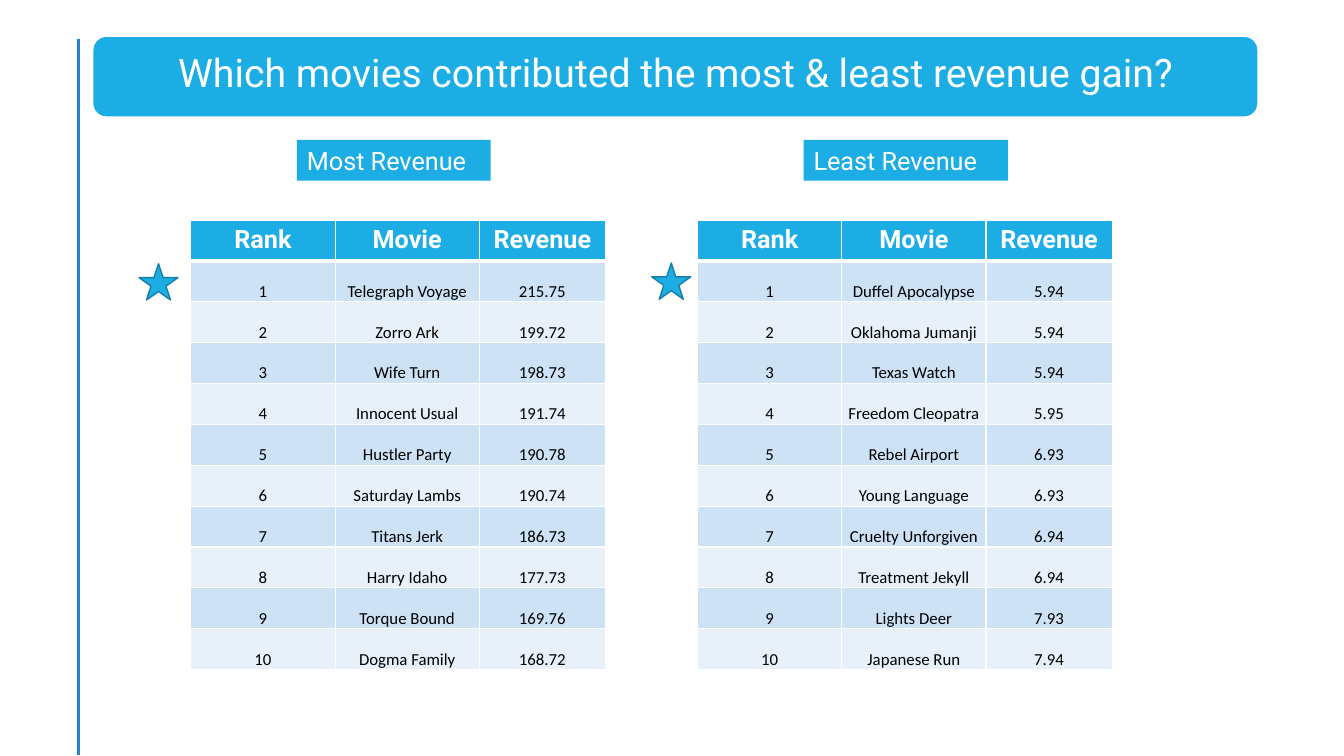
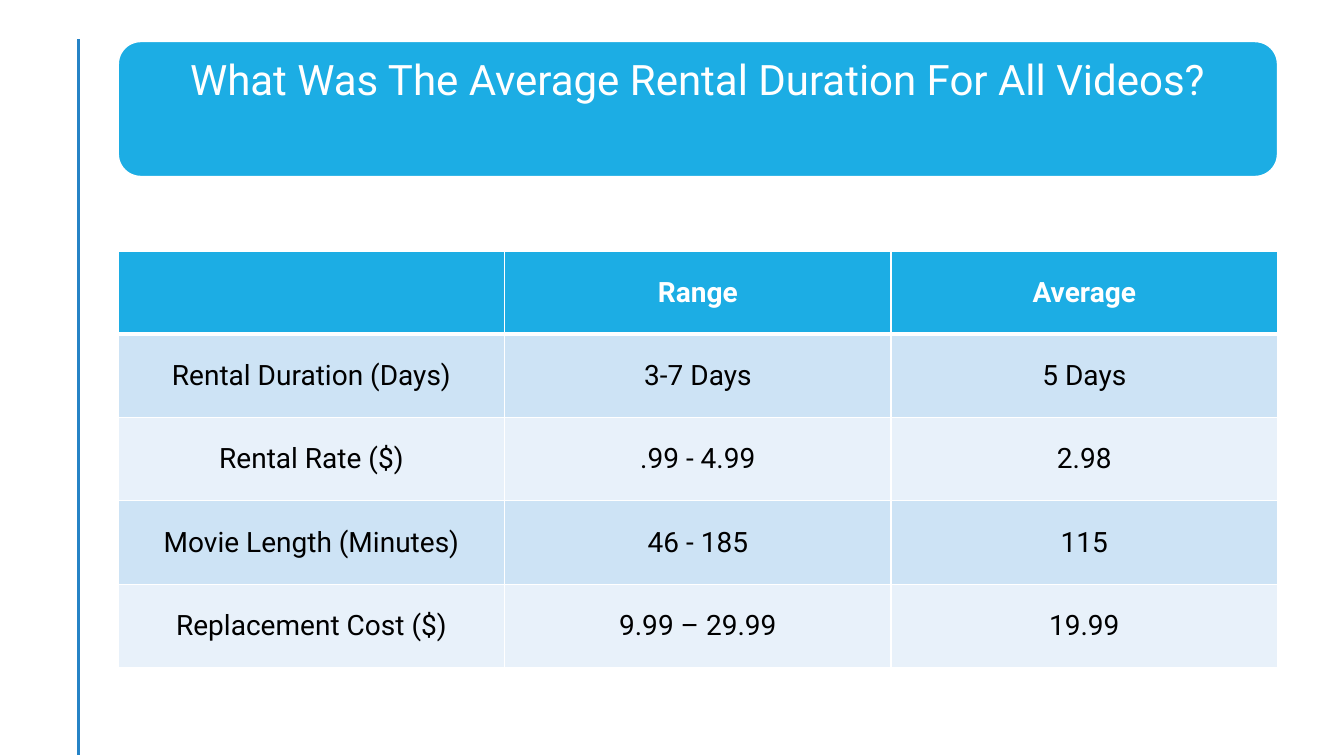
from dataclasses import dataclass

from lxml import etree
from pptx import Presentation
from pptx import util as u
from pptx.dml.color import RGBColor
from pptx.enum import shapes, text
from pptx.oxml import ns


@dataclass(frozen=True)
class Theme:
    main: str = "1CADE4"
    edge: str = "1580A9"
    rail: str = "2683C6"
    odd: str = "CDE3F5"
    even: str = "E8F1FA"
    ink: str = "000000"
    pale: str = "FFFFFF"
    head: str = "Roboto"
    body: str = "Calibri"
    small: int = 12
    label: int = 18
    large: int = 20
    thin: int = 1
    thick: int = 3


WIDE, HIGH = 13.33, 7.5
MID = text.PP_ALIGN.CENTER
ANCHOR = text.MSO_ANCHOR


def assign(item, form):
    for key, val in form.items():
        setattr(item, key, val)


def rgb(code):
    return RGBColor.from_string(code)


def across(share):
    return u.Inches(WIDE * share / 100)


def down(share):
    return u.Inches(HIGH * share / 100)


def area(x, y, w, h):
    """Turn percentages of the slide into a left, top, width, height box."""
    return across(x), down(y), across(w), down(h)


class Deck:
    def __init__(self, theme):
        self.theme = theme
        self.show = Presentation()
        assign(self.show, {"slide_width": u.Inches(WIDE),
                           "slide_height": u.Inches(HIGH)})
        self.slide = None

    def page(self, title, size, box):
        """Start a slide with the side rail and a title on a rounded band."""
        self.slide = self.show.slides.add_slide(self.show.slide_layouts[5])
        self.rail()
        band = self.shape(shapes.MSO_SHAPE.ROUNDED_RECTANGLE, box,
                          self.theme.pale)
        name = self.slide.shapes.title
        name.element.addprevious(band.element)
        gap, pad = u.Inches(0.05), u.Inches(0.12)
        assign(name, {"left": band.left + gap, "top": band.top + gap,
                      "width": band.width - 2 * gap,
                      "height": band.height - 2 * gap})
        frame = name.text_frame
        assign(frame, {"word_wrap": True, "vertical_anchor": ANCHOR.TOP,
                       "auto_size": text.MSO_AUTO_SIZE.NONE,
                       "margin_left": pad, "margin_right": pad,
                       "margin_top": pad, "margin_bottom": pad})
        self.put(frame, title, size=size, align=MID)
        frame.paragraphs[0].line_spacing = 0.9

    def rail(self):
        x = across(5.85)
        line = self.slide.shapes.add_connector(
            shapes.MSO_CONNECTOR.STRAIGHT, x, down(5.2), x, down(99.9))
        line.line.color.rgb = rgb(self.theme.rail)
        line.line.width = u.Pt(2)
        etree.SubElement(line.element.spPr, ns.qn("a:effectLst"))

    def shape(self, kind, box, edge=None):
        item = self.slide.shapes.add_shape(kind, *area(*box))
        item.shadow.inherit = False
        item.fill.solid()
        item.fill.fore_color.rgb = rgb(self.theme.main)
        if edge:
            item.line.color.rgb = rgb(edge)
            item.line.width = u.Pt(self.theme.thin)
        else:
            item.line.fill.background()
        return item

    def star(self, x, y):
        self.shape(shapes.MSO_SHAPE.STAR_5_POINT, (x, y, 2.9, 4.8),
                   self.theme.edge)

    def label(self, words, box):
        item = self.shape(shapes.MSO_SHAPE.RECTANGLE, box)
        self.put(item.text_frame, words, size=self.theme.label)

    def put(self, frame, words, size, font=None, color=None, bold=False,
            align=text.PP_ALIGN.LEFT):
        """Set the words and their format in the frame's first paragraph."""
        para = frame.paragraphs[0]
        para.alignment = align
        if not words:
            return
        run = para.add_run()
        run.text = words
        assign(run.font, {"name": font or self.theme.head,
                          "size": u.Pt(size), "bold": bold})
        run.font.color.rgb = rgb(color or self.theme.pale)

    def table(self, rows, box, parts, head, body, form, top):
        """Draw rows; parts are column ratios, head and body text formats,
        form and top the cell formats of body and header."""
        t = self.theme
        grid = self.slide.shapes.add_table(
            len(rows), len(parts), *area(*box)).table
        for col, part in zip(grid.columns, parts):
            col.width = across(box[2] * part / sum(parts))
        for r, row in enumerate(rows):
            grid.rows[r].height = down(box[3] / len(rows))
            fill = (t.even, t.odd)[r % 2] if r else t.main
            for c, words in enumerate(row):
                cell = grid.cell(r, c)
                assign(cell, form if r else top)
                cell.fill.solid()
                cell.fill.fore_color.rgb = rgb(fill)
                self.put(cell.text_frame, words, align=MID,
                         **(body if r else head))
                self.border(cell, r)

    def border(self, cell, row):
        """Add white rules, with a thick one below the header row."""
        t = self.theme
        wide = {"T": t.thick if row == 1 else t.thin,
                "B": t.thick if row == 0 else t.thin}
        props = cell._tc.get_or_add_tcPr()
        for spot, side in enumerate("LRTB"):
            line = etree.Element(ns.qn("a:ln" + side),
                                 w=str(u.Pt(wide.get(side, t.thin))))
            fill = etree.SubElement(line, ns.qn("a:solidFill"))
            etree.SubElement(fill, ns.qn("a:srgbClr"), val=t.pale)
            props.insert(spot, line)


MOST = [("Telegraph Voyage", "215.75"), ("Zorro Ark", "199.72"),
        ("Wife Turn", "198.73"), ("Innocent Usual", "191.74"),
        ("Hustler Party", "190.78"), ("Saturday Lambs", "190.74"),
        ("Titans Jerk", "186.73"), ("Harry Idaho", "177.73"),
        ("Torque Bound", "169.76"), ("Dogma Family", "168.72")]
LEAST = [("Duffel Apocalypse", "5.94"), ("Oklahoma Jumanji", "5.94"),
         ("Texas Watch", "5.94"), ("Freedom Cleopatra", "5.95"),
         ("Rebel Airport", "6.93"), ("Young Language", "6.93"),
         ("Cruelty Unforgiven", "6.94"), ("Treatment Jekyll", "6.94"),
         ("Lights Deer", "7.93"), ("Japanese Run", "7.94")]
RENTAL = [("", "Range", "Average"),
          ("Rental Duration (Days)", "3-7 Days", "5 Days"),
          ("Rental Rate ($)", ".99 - 4.99", "2.98"),
          ("Movie Length (Minutes)", "46 - 185", "115"),
          ("Replacement Cost ($)", "9.99 – 29.99", "19.99")]


def revenue(deck):
    t = deck.theme
    deck.page("Which movies contributed the most & least revenue gain?",
              28, (6.9, 4.8, 86.7, 10.7))
    pad = u.Inches(0.01)
    form = {"vertical_anchor": ANCHOR.BOTTOM, "margin_left": pad,
            "margin_right": pad, "margin_top": pad, "margin_bottom": 0}
    sides = [("Most Revenue", MOST, 14.2, 14.4, 10.35, 34.9),
             ("Least Revenue", LEAST, 51.9, 15.2, 48.5, 34.8)]
    for name, films, x, wide, *spot in sides:
        rows = [("Rank", "Movie", "Revenue")]
        rows += [(str(n), *film) for n, film in enumerate(films, 1)]
        deck.table(rows, (x, 29.1, 30.85, 59.5), (1.43, 1.43, 1.25),
                   {"size": t.label, "bold": True},
                   {"size": t.small, "font": t.body, "color": t.ink},
                   form, {"vertical_anchor": ANCHOR.TOP})
        deck.label(name, (x + 7.9, 18.5, wide, 5.4))
        deck.star(*spot)


def rental(deck):
    t = deck.theme
    x, wide = 8.8, 86.25
    deck.page("What Was The Average Rental Duration For All Videos?",
              30, (x, 5.5, wide, 17.85))
    form = {"vertical_anchor": ANCHOR.MIDDLE}
    deck.table(RENTAL, (x, 33.2, wide, 55.1), (1, 1, 1),
               {"size": t.large, "bold": True},
               {"size": t.large, "color": t.ink}, form, form)


def main():
    deck = Deck(Theme())
    revenue(deck)
    rental(deck)
    deck.show.save("out.pptx")


if __name__ == "__main__":
    main()
